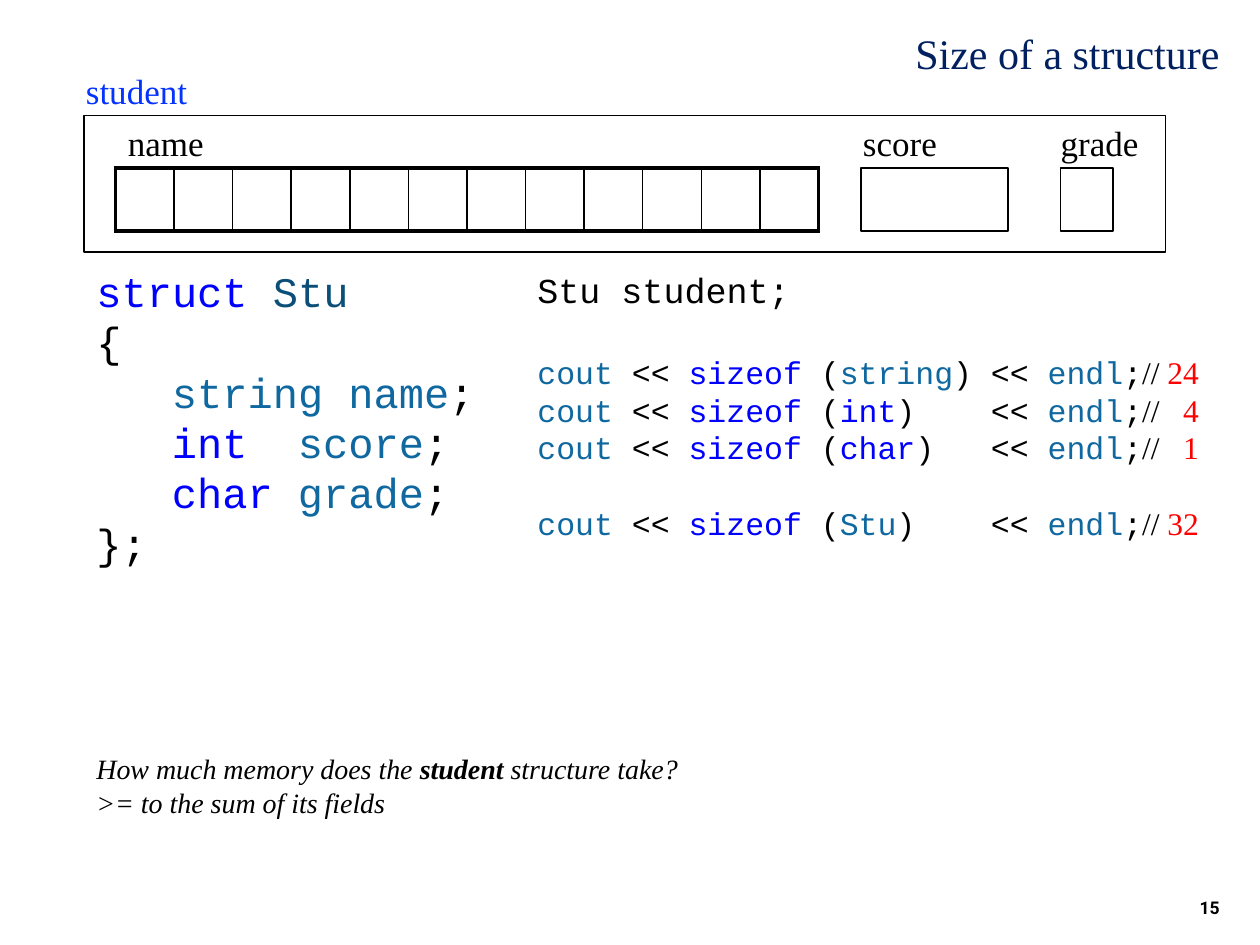
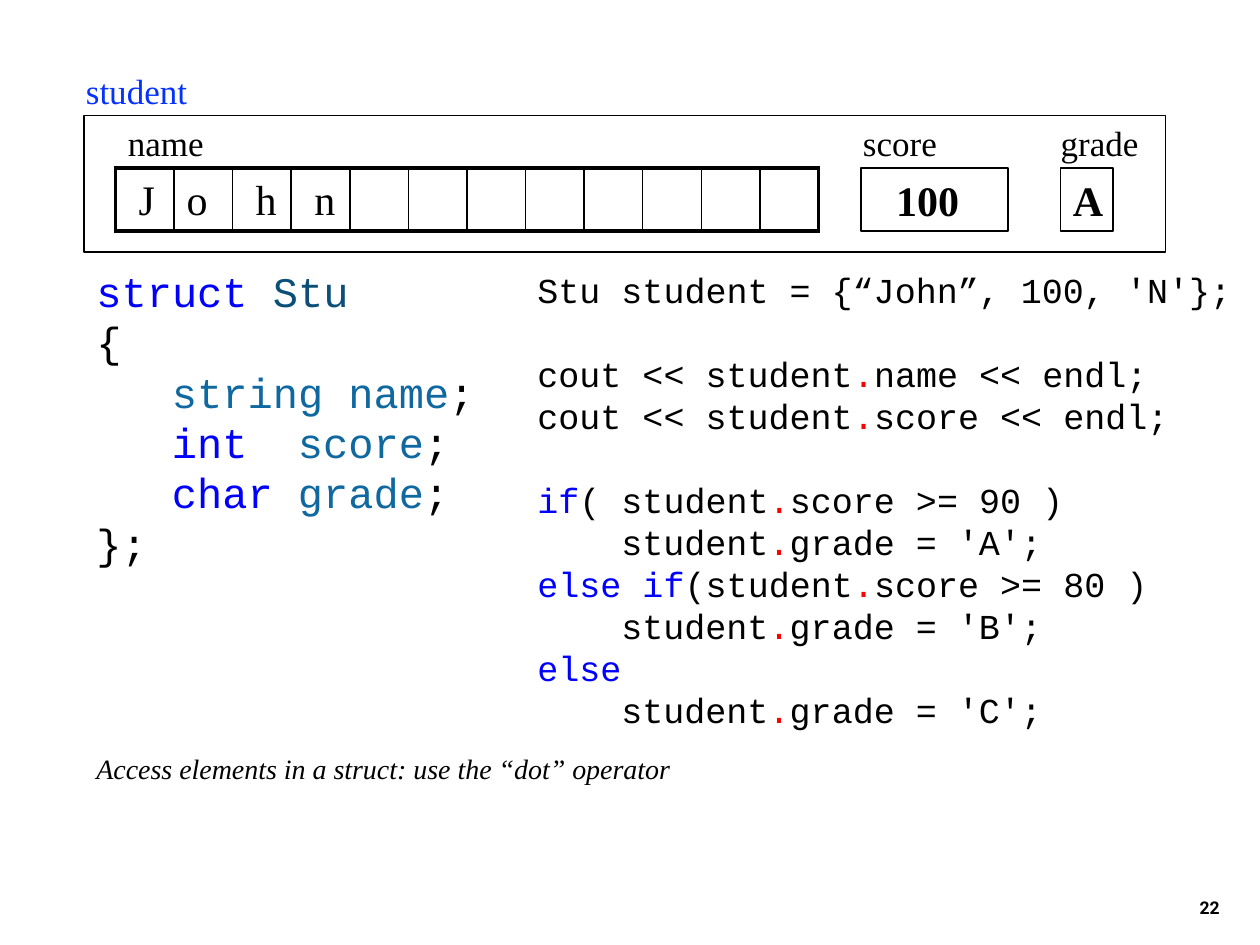
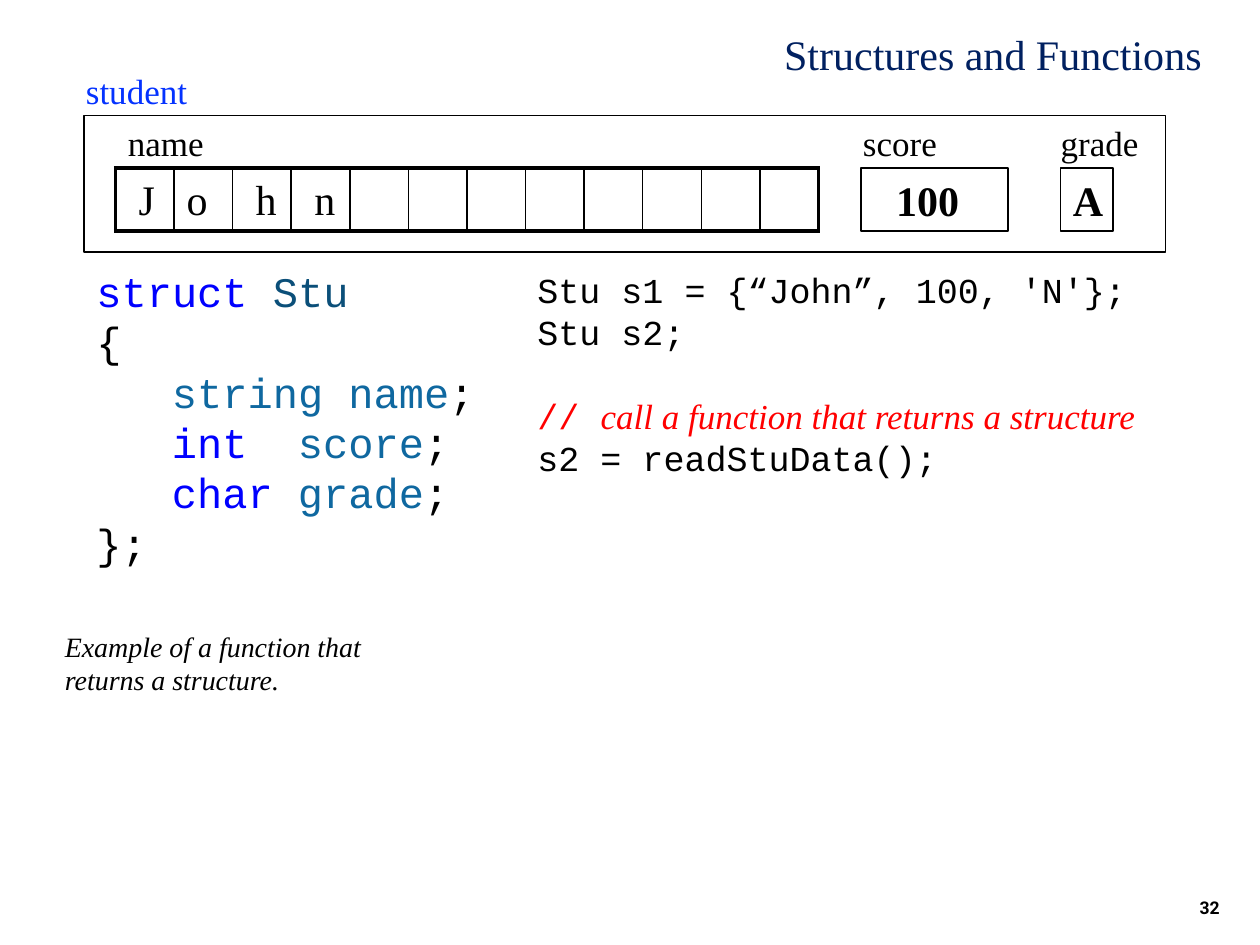
"""Build three slides on C++ structures: size, member access and functions."""
from lxml import etree
from pptx import Presentation
from pptx import util as u
from pptx.dml import color
from pptx.enum import shapes, text
from pptx.oxml import ns

COLORS = {
    "black": "000000", "title": "002060", "label": "0432FF", "keyword": "0000FF",
    "type": "0B4F79", "name": "0F68A0", "accent": "FF0000",
}
SERIF, MONO = "Times New Roman", "Courier New"
FORMATS = {
    "title": {"name": SERIF, "size": 24},
    "label": {"name": SERIF, "size": 20},
    "cell": {"name": SERIF, "size": 24},
    "value": {"name": SERIF, "size": 24, "bold": True},
    "struct": {"name": MONO, "size": 24},
    "code": {"name": MONO, "size": 20},
    "output": {"name": MONO, "size": 18},
    "caption": {"name": SERIF, "size": 16, "italic": True},
    "number": {"name": "Roboto", "size": 10, "bold": True},
}
LINE_PITCH = 1.2
STRUCT_TABS = [(43.2, "l"), (115.2, "l")]
CODE_TABS = [(48, "l")]
OUTPUT_TABS = [(259.2, "l"), (378, "r")]


def write(frame, lines, style, gap=0, tabs=()):
    """Append lines of (text, colour, overrides) runs; gap precedes the first line."""
    frame.word_wrap = True
    for line in lines:
        first = frame.paragraphs[0]
        para = frame.add_paragraph() if first.runs else first
        para.alignment = text.PP_ALIGN.RIGHT if style == "number" else text.PP_ALIGN.LEFT
        para.line_spacing = u.Pt(FORMATS[style]["size"] * LINE_PITCH)
        para.space_before = u.Pt(gap)
        gap = 0
        if tabs:
            stops = etree.SubElement(para._p.get_or_add_pPr(), ns.qn("a:tabLst"))
            for position, side in tabs:
                etree.SubElement(stops, ns.qn("a:tab"), pos=str(u.Pt(position)), algn=side)
        for words, tint, *overrides in line:
            span = para.add_run()
            span.text = words
            span.font.color.rgb = color.RGBColor.from_string(COLORS[tint])
            for key, value in {**FORMATS[style], **dict(*overrides)}.items():
                setattr(span.font, key, u.Pt(value) if key == "size" else value)


def add_text(page, place, lines, style, **options):
    """Add a text box at (left, top, width, height) in points."""
    box = page.shapes.add_textbox(*map(u.Pt, place))
    write(box.text_frame, lines, style, **options)
    return box


deck = Presentation()
deck.slide_width, deck.slide_height = u.Pt(720), u.Pt(540)

struct_lines = [
    [("struct ", "keyword"), ("Stu", "type")],
    [("{", "black")],
    [("\t", "black"), ("string name", "name"), (";", "black")],
    [("\t", "black"), ("int\t", "keyword"), ("score", "name"), (";", "black")],
    [("\t", "black"), ("char ", "keyword"), ("grade", "name"), (";", "black")],
    [("};", "black")],
]

sizeof_lines = []
for kind, tint, size in [("string", "name", "24"), ("int", "keyword", "4"),
                         ("char", "keyword", "1"), ("Stu", "name", "32")]:
    sizeof_lines.append([
        ("cout ", "name"), ("<< ", "black"), ("sizeof", "keyword"), (" (", "black"),
        (kind, tint), (")\t<< ", "black"), ("endl", "name"), (";", "black"),
        ("//\t", "black", {"name": SERIF}), (size, "accent", {"name": SERIF}),
    ])

dot = (".", "accent")
print_lines = [[("cout << student", "black"), dot, (f"{field} << endl;", "black")]
               for field in ("name", "score")]
branch_lines = []
for test, opening, limit, grade in [("if", "( student", "score >= 90 )", "A"),
                                    ("else if", "(student", "score >= 80 )", "B"),
                                    ("else", "", "", "C")]:
    condition = [(opening, "black"), dot, (limit, "black")] if limit else []
    branch_lines.append([(test, "keyword")] + condition)
    branch_lines.append([("\tstudent", "black"), dot, (f"grade = '{grade}';", "black")])

slides = [
    {
        "number": "15", "letters": [], "score": "", "grade": "",
        "title": ("Size of a structure", (516, 12, 189, 36)),
        "code": [([[("Stu student;", "black")]], "code", 0, ()),
                 (sizeof_lines[:3], "output", 24, OUTPUT_TABS),
                 (sizeof_lines[3:], "output", 21.6, OUTPUT_TABS)],
        "caption": ([[("How much memory does the ", "black"),
                      ("student", "black", {"bold": True}),
                      (" structure take?", "black")],
                     [(">= to the sum of its fields", "black")]], (48, 426, 630, 46)),
    },
    {
        "number": "22", "letters": [" J", "o", " h", " n"], "score": "100", "grade": "A",
        "title": None,
        "code": [([[("Stu student = {“John”, 100, 'N'};", "black")]], "code", 0, ()),
                 (print_lines, "code", 24, ()),
                 (branch_lines, "code", 24, CODE_TABS)],
        "caption": ([[("Access elements in a struct: use the “dot” operator", "black")]],
                    (48, 426, 630, 27)),
    },
    {
        "number": "32", "letters": [" J", "o", " h", " n"], "score": "100", "grade": "A",
        "title": ("Structures and Functions", (441, 13, 264, 36)),
        "code": [([[("Stu s1 = {“John”, 100, 'N'};", "black")],
                   [("Stu s2;", "black")]], "code", 0, ()),
                 ([[("// ", "accent"),
                    ("call a function that returns a structure", "accent",
                     {"name": SERIF, "italic": True})],
                   [("s2 = readStuData();", "black")]], "code", 24, ())],
        "caption": ([[("Example of a function that", "black")],
                     [("returns a structure.", "black")]], (30, 356, 216, 46)),
    },
]

for content in slides:
    page = deck.slides.add_slide(deck.slide_layouts[6])
    number = add_text(page, (554, 492, 150, 36), [[(content["number"], "black")]], "number")
    number.text_frame.vertical_anchor = text.MSO_ANCHOR.BOTTOM

    for place, value in [((48, 66, 618, 78), ""), ((492, 96, 84, 36), ""),
                         ((606, 96, 30, 36), content["grade"])]:
        frame = page.shapes.add_shape(shapes.MSO_SHAPE.RECTANGLE, *map(u.Pt, place))
        frame.shadow.inherit = False
        frame.fill.background()
        frame.line.color.rgb = color.RGBColor.from_string(COLORS["black"])
        frame.line.width = u.Pt(0.75)
        if value:
            frame.text_frame.vertical_anchor = text.MSO_ANCHOR.MIDDLE
            write(frame.text_frame, [[(value, "black")]], "value")

    for label, left, top, tint in [("student", 42, 36, "label"), ("name", 66, 66, "black"),
                                   ("score", 486, 66, "black"), ("grade", 599, 66, "black")]:
        add_text(page, (left, top, 74, 32), [[(label, tint)]], "label")
    if content["score"]:
        add_text(page, (505, 96, 52, 36), [[(content["score"], "black")]], "value")

    columns = 12
    table = page.shapes.add_table(1, columns, u.Pt(66), u.Pt(96), u.Pt(402), u.Pt(36)).table
    table.first_row = table.horz_banding = False
    for index, cell in enumerate(table.rows[0].cells):
        widths = {"lnL": 1 if index else 2.25, "lnR": 1 if index < columns - 1 else 2.25,
                  "lnT": 2.25, "lnB": 2.25}
        for side, width in widths.items():
            border = etree.SubElement(cell._tc.get_or_add_tcPr(), ns.qn(f"a:{side}"),
                                      w=str(u.Pt(width)))
            fill = etree.SubElement(border, ns.qn("a:solidFill"))
            etree.SubElement(fill, ns.qn("a:srgbClr"), val=COLORS["black"])
        cell.fill.background()
        if index < len(content["letters"]):
            write(cell.text_frame, [[(content["letters"][index], "black")]], "cell")

    add_text(page, (48, 148, 234, 181), struct_lines, "struct", tabs=STRUCT_TABS)
    code = page.shapes.add_textbox(u.Pt(300), u.Pt(150), u.Pt(420), u.Pt(274))
    for lines, style, gap, tabs in content["code"]:
        write(code.text_frame, lines, style, gap, tabs)

    lines, place = content["caption"]
    add_text(page, place, lines, "caption")
    if content["title"]:
        heading, place = content["title"]
        add_text(page, place, [[(heading, "title")]], "title")

deck.save("out.pptx")
